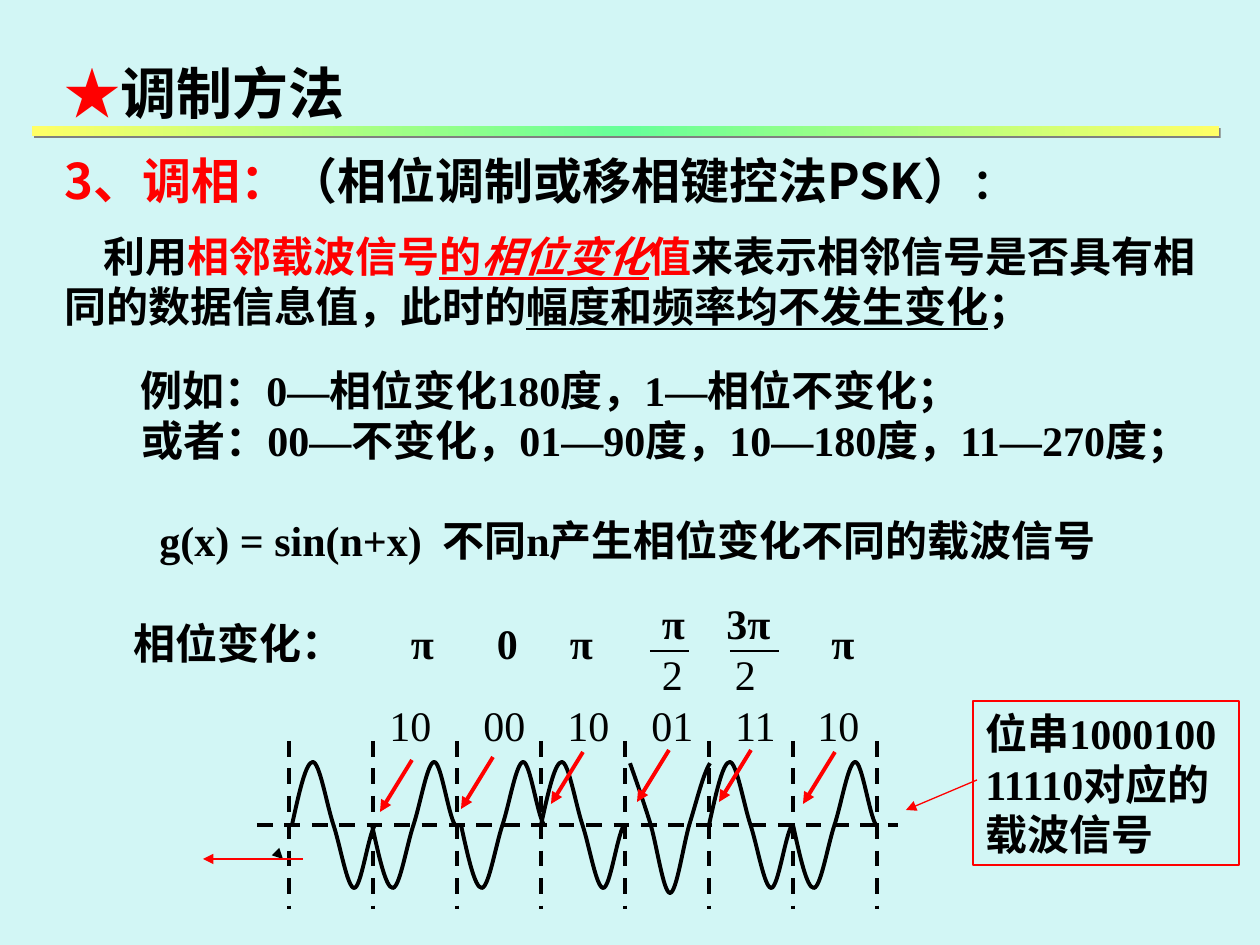
from lxml.etree import SubElement
from pptx import Presentation
from pptx.dml.color import RGBColor
from pptx.enum.dml import MSO_LINE
from pptx.enum.shapes import MSO_CONNECTOR as Connector, MSO_SHAPE as Shape
from pptx.enum.text import MSO_ANCHOR as Anchor
from pptx.oxml.ns import qn
from pptx.util import Emu, Inches, Pt

PX = 914400 / 126
COLORS = {"back": "D2F6F5", "ink": "000000", "accent": "FF0000",
          "edge": "FFFF66", "middle": "66FF99", "shade": "808080"}
SERIF, SANS = "Times New Roman", "Noto Sans CJK SC"
LINE_PITCH = 29  # points
CYCLE = 84       # px between the dashed cycle marks
AMPLITUDE = 63
# Bezier control heights, evenly spaced over one carrier cycle
SINE = [0, .5, 1, 1, 1, .33, 0, -.33, -1, -1, -1, -.17, 0]
DIP = [.98, .68, .38, .04, -.3, -1.08, -1.08, -1.08, -.3, .04, .38, .82, .98]
INVERTED = [-height for height in SINE]


def px(length):
    return Emu(round(length * PX))


def rgb(name):
    return RGBColor.from_string(COLORS[name])


def add_line(slide, start, end, color="ink", width=2.25, dashed=False, arrow=False):
    line = slide.shapes.add_connector(Connector.STRAIGHT, *map(px, (*start, *end)))
    line.line.color.rgb = rgb(color)
    line.line.width = Pt(width)
    if dashed:
        line.line.dash_style = MSO_LINE.DASH
    properties = line._element.spPr
    if arrow:
        SubElement(properties.find(qn("a:ln")), qn("a:tailEnd"), type="triangle")
    SubElement(properties, qn("a:effectLst"))


def add_text_frame(slide, box, wrap=False):
    frame = slide.shapes.add_textbox(*map(px, box)).text_frame
    frame.word_wrap = wrap
    return frame


def style(paragraph, size=24, face=SERIF, bold=True, pitch=LINE_PITCH,
          before=0, indent=0, tabs=(), align="ctr"):
    """Set spacing, first-line indent, tab stops (px) and the shared font."""
    properties = paragraph._p.get_or_add_pPr()
    properties.set("algn", "l")
    if indent:
        properties.set("indent", str(px(indent)))
    if tabs:
        stops = SubElement(properties, qn("a:tabLst"))
        for stop in tabs:
            SubElement(stops, qn("a:tab"), pos=str(px(stop)), algn=align)
    paragraph.line_spacing = Pt(pitch)
    paragraph.space_before = Pt(before)
    font = paragraph.font
    font.size, font.bold, font.name = Pt(size), bold, face
    font.color.rgb = rgb("ink")
    SubElement(properties.find(qn("a:defRPr")), qn("a:ea"), typeface=SANS)


def write(frame, lines):
    """Fill a frame from (runs, style) pairs; a run is (text, font changes)."""
    for number, (runs, options) in enumerate(lines):
        paragraph = frame.add_paragraph() if number else frame.paragraphs[0]
        style(paragraph, **options)
        for text, changes in runs:
            run = paragraph.add_run()
            run.text = text
            for name, value in changes.items():
                if name == "color":
                    run.font.color.rgb = rgb(value)
                else:
                    setattr(run.font, name, value)


def plain(text, **options):
    return [(text, {})], options


def add_explanation(slide, box):
    red = {"color": "accent"}
    write(add_text_frame(slide, box, wrap=True), [
        ([("★", red), ("调制方法", {})], {"size": 32, "pitch": 38}),
        ([("3、调相：", red), ("（相位调制或移相键控法PSK）", {}),
          ("：", {"size": Pt(24)})],
         {"size": 28, "face": SANS, "pitch": 33, "before": 15}),
        ([("利用", {}), ("相邻载波信号", red), ("的", {**red, "underline": True}),
          ("相位变化", {**red, "underline": True, "italic": True}), ("值", red),
          ("来表示相邻信号是否具有相同的数据信息值，此时的", {}),
          ("幅度和频率均不发生变化", {"underline": True}), ("；", {})],
         {"face": SANS, "before": 11.5, "indent": 39}),
        plain("例如：0—相位变化180度，1—相位不变化；", before=18.5, indent=76),
        plain("或者：00—不变化，01—90度，10—180度，11—270度；", indent=77),
        plain("g(x) = sin(n+x)\t不同n产生相位变化不同的载波信号",
              before=28, indent=95, tabs=[401], align="l"),
    ])


def add_divider(slide, box):
    bar = slide.shapes.add_shape(Shape.RECTANGLE, *map(px, box))
    bar.fill.gradient()
    bar.fill.gradient_angle = 0
    stops = bar._element.spPr.find(qn("a:gradFill")).find(qn("a:gsLst"))
    for stop in list(stops):
        stops.remove(stop)
    for position, color in ((0, "edge"), (50000, "middle"), (100000, "edge")):
        stop = SubElement(stops, qn("a:gs"), pos=str(position))
        SubElement(stop, qn("a:srgbClr"), val=COLORS[color])
    bar.line.fill.background()
    bar.shadow.inherit = False
    shade = SubElement(bar._element.spPr.find(qn("a:effectLst")), qn("a:outerShdw"),
                       dist=str(Pt(1.4)), dir="2700000", algn="ctr", rotWithShape="0")
    SubElement(shade, qn("a:srgbClr"), val=COLORS["shade"])


def add_phase_labels(slide, box):
    left, top, width, height = box
    write(add_text_frame(slide, (left + 256, top, 498, height)), [
        plain("\tπ\t3π", tabs=[284, 359]),
        plain("\t2\t2", bold=False, tabs=[283, 356]),
        plain("\t10\t00\t10\t01\t11\t10", bold=False,
              tabs=[20, 115, 199, 283, 366, 449]),
    ])
    write(add_text_frame(slide, (left, top + 20, 501, 63)),
          [plain("相位变化：\tπ\t0\tπ", tabs=[289, 374, 448])])
    for start, end in ((529, 568), (609, 658)):
        add_line(slide, (left + start, top + 60), (left + end, top + 60), width=.75)
    write(add_text_frame(slide, (left + 698, top + 20, 58, 63)), [plain("π")])


def add_wave(slide, left, axis, width, heights):
    """Draw one carrier cycle as a chain of cubic curves."""
    last = len(heights) - 1
    controls = [(px(left + width * number / last), px(axis - height * AMPLITUDE))
                for number, height in enumerate(heights)]
    builder = slide.shapes.build_freeform(*controls[0])
    builder.add_line_segments(controls[1:], close=False)
    wave = builder.convert_to_shape()
    outline = next(wave._element.spPr.iter(qn("a:path")))
    legs = outline.findall(qn("a:lnTo"))
    for first in range(0, last, 3):
        curve = SubElement(outline, qn("a:cubicBezTo"))
        for leg in legs[first:first + 3]:
            curve.append(leg[0])
            outline.remove(leg)
    wave.fill.background()
    wave.line.color.rgb = rgb("ink")
    wave.line.width = Pt(2.25)
    wave.shadow.inherit = False


def add_carrier(slide, box):
    left, top, width, height = box
    axis = top + height // 2
    add_line(slide, (left, axis), (left + width, axis), dashed=True)
    for mark in range(8):
        x = left + 32 + CYCLE * mark
        add_line(slide, (x, top), (x, top + height), dashed=True)
    for offset, span, heights in (
            (35, 83, SINE), (115, 83, INVERTED), (204, 83, INVERTED), (284, 83, SINE),
            (373, 80, DIP), (452, 83, SINE), (536, 83, INVERTED)):
        add_wave(slide, left + offset, axis, span, heights)
    for x, y in ((155, 19), (236, 16), (326, 11), (412, 9), (494, 9), (578, 11)):
        add_line(slide, (left + x, top + y), (left + x - 32, top + y + 52),
                 "accent", arrow=True)
    add_line(slide, (left + 25, top + 117), (left + 26, top + 118), width=.75, arrow=True)
    add_line(slide, (left + 46, top + 118), (left - 54, top + 118),
             "accent", width=.75, arrow=True)


def add_callout(slide, box):
    left, top = box[:2]
    panel = slide.shapes.add_shape(Shape.RECTANGLE, *map(px, box))
    panel.fill.background()
    panel.line.color.rgb = rgb("accent")
    panel.line.width = Pt(.75)
    panel.shadow.inherit = False
    frame = panel.text_frame
    frame.word_wrap = False
    frame.vertical_anchor = Anchor.TOP
    write(frame, [plain(text) for text in ("位串1000100", "11110对应的", "载波信号")])
    add_line(slide, (left + 4, top + 79), (left - 67, top + 109),
             "accent", width=.75, arrow=True)


def main():
    deck = Presentation()
    deck.slide_width, deck.slide_height = Inches(10), Inches(7.5)
    slide = deck.slides.add_slide(deck.slide_layouts[6])
    slide.background.fill.solid()
    slide.background.fill.fore_color.rgb = rgb("back")
    add_explanation(slide, (52, 53, 1176, 571))
    add_carrier(slide, (257, 741, 641, 168))
    add_phase_labels(slide, (121, 591, 754, 164))
    add_callout(slide, (973, 701, 266, 164))
    add_divider(slide, (32, 126, 1187, 10))
    deck.save("out.pptx")


if __name__ == "__main__":
    main()
